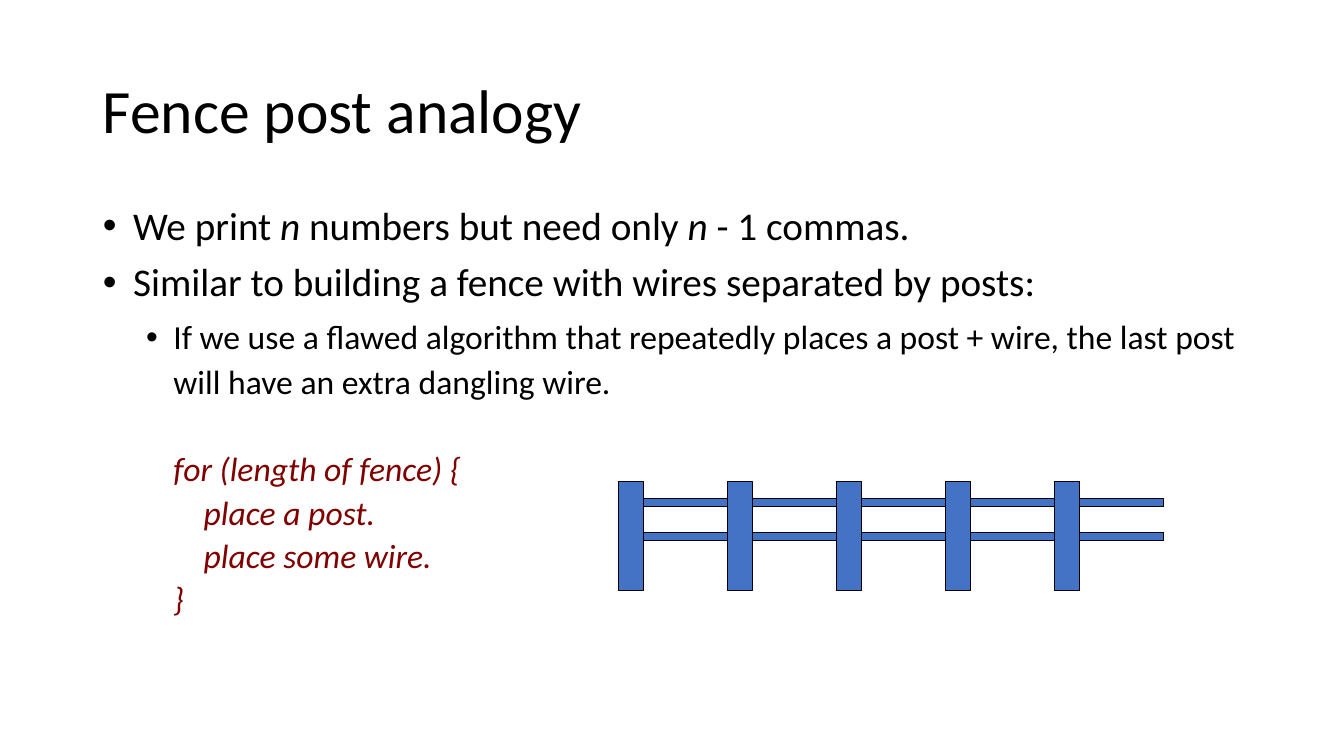
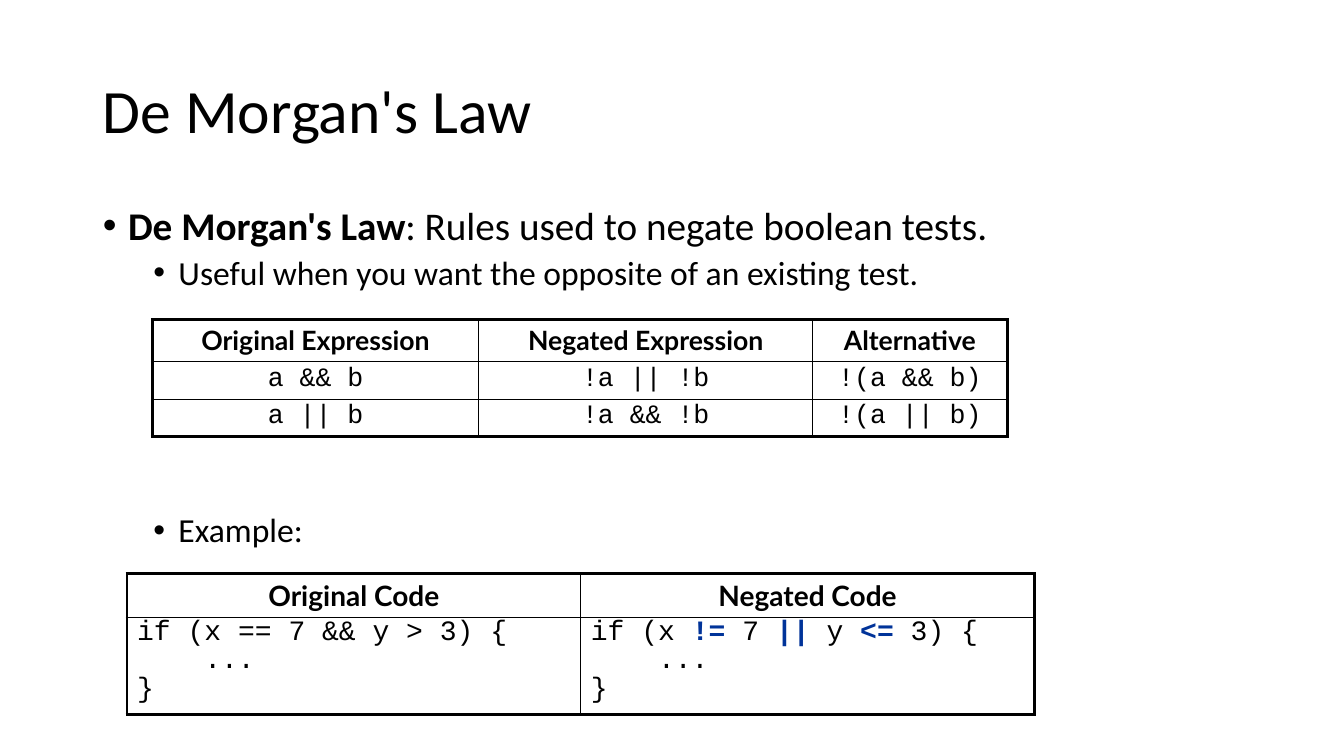
from lxml.etree import SubElement
from pptx import Presentation
from pptx.dml.color import RGBColor
from pptx.enum.shapes import MSO_SHAPE
from pptx.enum.text import MSO_ANCHOR, MSO_AUTO_SIZE, PP_ALIGN
from pptx.oxml.ns import qn
from pptx.util import Inches, Pt

BLACK = RGBColor(0x00, 0x00, 0x00)
BLUE = RGBColor(0x44, 0x72, 0xC4)
MAROON = RGBColor(0x80, 0x00, 0x00)
NAVY = RGBColor(0x00, 0x33, 0x99)

TEXT_FONT = "Calibri"
HEADER_FONT = "Lato"
CODE_FONT = "Courier New"

THICK_LINE = Pt(2.25)
THIN_LINE = Pt(1)

POST_COUNT = 5
FIRST_POST_LEFT, LAST_POST_LEFT = 6.13, 10.46
POST_TOP, POST_WIDTH, POST_HEIGHT = 4.78, 0.25, 1.08
WIRE_TOPS = (4.95, 5.28)
WIRE_HEIGHT = 0.08


def add_span(para, text, size=24, font=TEXT_FONT, color=BLACK, bold=False, italic=False):
    span = para.add_run()
    span.text = text
    span.font.size = Pt(size)
    span.font.name = font
    span.font.color.rgb = color
    span.font.bold = bold
    span.font.italic = italic


def add_para(frame, text, level=0, margin=0, hanging=0, bullet=False, spacing=0.9,
             before=0, align=PP_ALIGN.LEFT, emphasis=None, **style):
    para = frame.paragraphs[0]
    if para.runs:
        para = frame.add_paragraph()
    para.level = level
    para.alignment = align
    para.line_spacing = spacing
    para.space_before = Pt(before)
    properties = para._p.get_or_add_pPr()
    properties.set("marL", str(Inches(margin)))
    properties.set("indent", str(-Inches(hanging)))
    if bullet:
        SubElement(properties, qn("a:buFont"), typeface="Arial")
        SubElement(properties, qn("a:buChar"), char="•")
    else:
        SubElement(properties, qn("a:buNone"))
    for index, part in enumerate(text.split("*")):
        if part:
            add_span(para, part, **(style | (emphasis or {}) if index % 2 else style))


def place_placeholder(box, top, height, anchor):
    box.left, box.top = Inches(0.92), Inches(top)
    box.width, box.height = Inches(11.5), Inches(height)
    frame = box.text_frame
    frame.word_wrap = True
    frame.auto_size = MSO_AUTO_SIZE.NONE
    frame.vertical_anchor = anchor
    return frame


def add_page(deck, title):
    page = deck.slides.add_slide(deck.slide_layouts[1])
    title_frame = place_placeholder(page.shapes.title, 0.4, 1.45, MSO_ANCHOR.MIDDLE)
    add_para(title_frame, title, size=44)
    return page, place_placeholder(page.placeholders[1], 2, 4.76, MSO_ANCHOR.TOP)


def add_bar(group, left, top, width, height):
    bar = group.shapes.add_shape(MSO_SHAPE.RECTANGLE, Inches(left), Inches(top),
                                 Inches(width), Inches(height))
    bar.shadow.inherit = False
    bar.fill.solid()
    bar.fill.fore_color.rgb = BLUE
    bar.line.color.rgb = BLACK
    bar.line.width = Pt(0.75)


def add_fence(page):
    fence = page.shapes.add_group_shape()
    pitch = (LAST_POST_LEFT - FIRST_POST_LEFT) / (POST_COUNT - 1)
    for index in range(POST_COUNT):
        left = FIRST_POST_LEFT + index * pitch
        add_bar(fence, left, POST_TOP, POST_WIDTH, POST_HEIGHT)
        for wire_top in WIRE_TOPS:
            add_bar(fence, left + POST_WIDTH, wire_top, pitch - POST_WIDTH, WIRE_HEIGHT)


def set_borders(cell, outer_sides):
    properties = cell._tc.get_or_add_tcPr()
    for side in "LRTB":
        width = THICK_LINE if side in outer_sides else THIN_LINE
        line = SubElement(properties, qn(f"a:ln{side}"), w=str(width))
        fill = SubElement(line, qn("a:solidFill"))
        SubElement(fill, qn("a:srgbClr"), val=str(BLACK))


def add_grid(page, left, top, widths, heights, rows, size, **code_format):
    table = page.shapes.add_table(len(heights), len(widths), Inches(left), Inches(top),
                                  Inches(sum(widths)), Inches(sum(heights))).table
    table.first_row = table.horz_banding = False
    for column, width in zip(table.columns, widths):
        column.width = Inches(width)
    for row_index, (row, height) in enumerate(zip(rows, heights)):
        table.rows[row_index].height = Inches(height)
        for column_index, lines in enumerate(row):
            cell = table.cell(row_index, column_index)
            edges = {"L": column_index == 0, "R": column_index == len(widths) - 1,
                     "T": row_index == 0, "B": row_index == len(heights) - 1}
            set_borders(cell, [side for side, outer in edges.items() if outer])
            cell.fill.background()
            if row_index == 0:
                add_para(cell.text_frame, lines, size=size, font=HEADER_FONT, bold=True,
                         spacing=1.0, align=PP_ALIGN.CENTER)
                continue
            for line_index, line in enumerate(lines.split("\n")):
                code = line.lstrip()
                add_para(cell.text_frame, code, size=size, font=CODE_FONT,
                         margin=(len(line) - len(code)) * 0.6 * size / 72,
                         before=4.5 if line_index else 0,
                         emphasis={"color": NAVY, "bold": True}, **code_format)


def add_fence_page(deck):
    page, body = add_page(deck, "Fence post analogy")
    for text in ("We print *n* numbers but need only *n* - 1 commas.",
                 "Similar to building a fence with wires separated by posts:"):
        add_para(body, text, size=28, margin=0.3, hanging=0.3, bullet=True, before=10,
                 emphasis={"italic": True})
    add_para(body, "If we use a flawed algorithm that repeatedly places a post + wire, "
             "the last post will have an extra dangling wire.",
             level=1, margin=0.7, hanging=0.27, bullet=True, spacing=1.1, before=5)
    for text, margin, before in (("for (length of fence) {", 0.7, 37),
                                 ("place a post.", 1, 5),
                                 ("place some wire.", 1, 5),
                                 ("}", 0.7, 5)):
        add_para(body, text, level=1, margin=margin, before=before, color=MAROON, italic=True)
    add_fence(page)


def add_law_page(deck):
    page, body = add_page(deck, "De Morgan's Law")
    add_para(body, "*De Morgan's Law*: Rules used to negate boolean tests.", size=28,
             margin=0.25, hanging=0.25, bullet=True, before=10, emphasis={"bold": True})
    for text, before in (("Useful when you want the opposite of an existing test.", 5),
                         ("Example:", 158)):
        add_para(body, text, level=1, margin=0.75, hanging=0.25, bullet=True, before=before)
    add_grid(page, 1.51, 3.17, (3.24, 3.31, 1.93), (0.42, 0.37, 0.37),
             (("Original Expression", "Negated Expression", "Alternative"),
              ("a && b", "!a || !b", "!(a && b)"),
              ("a || b", "!a && !b", "!(a || b)")),
             size=19, spacing=0.8, align=PP_ALIGN.CENTER)
    add_grid(page, 1.26, 5.69, (4.5, 4.5), (0.43, 0.96),
             (("Original Code", "Negated Code"),
              ("if (x == 7 && y > 3) {\n    ...\n}",
               "if (x *!=* 7 *||* y *<=* 3) {\n    ...\n}")),
             size=20, spacing=0.7)


def main():
    deck = Presentation()
    deck.slide_width, deck.slide_height = Inches(13.33), Inches(7.5)
    add_fence_page(deck)
    add_law_page(deck)
    deck.save("out.pptx")


if __name__ == "__main__":
    main()
